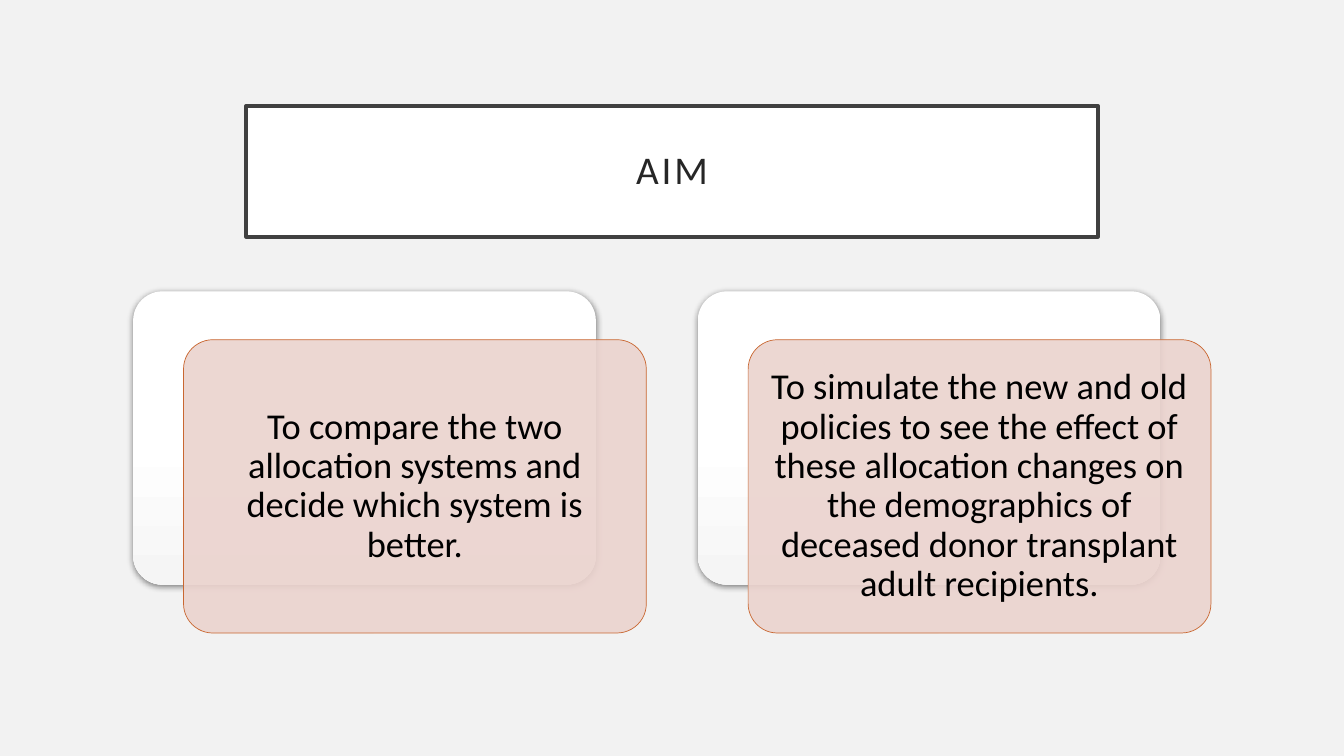
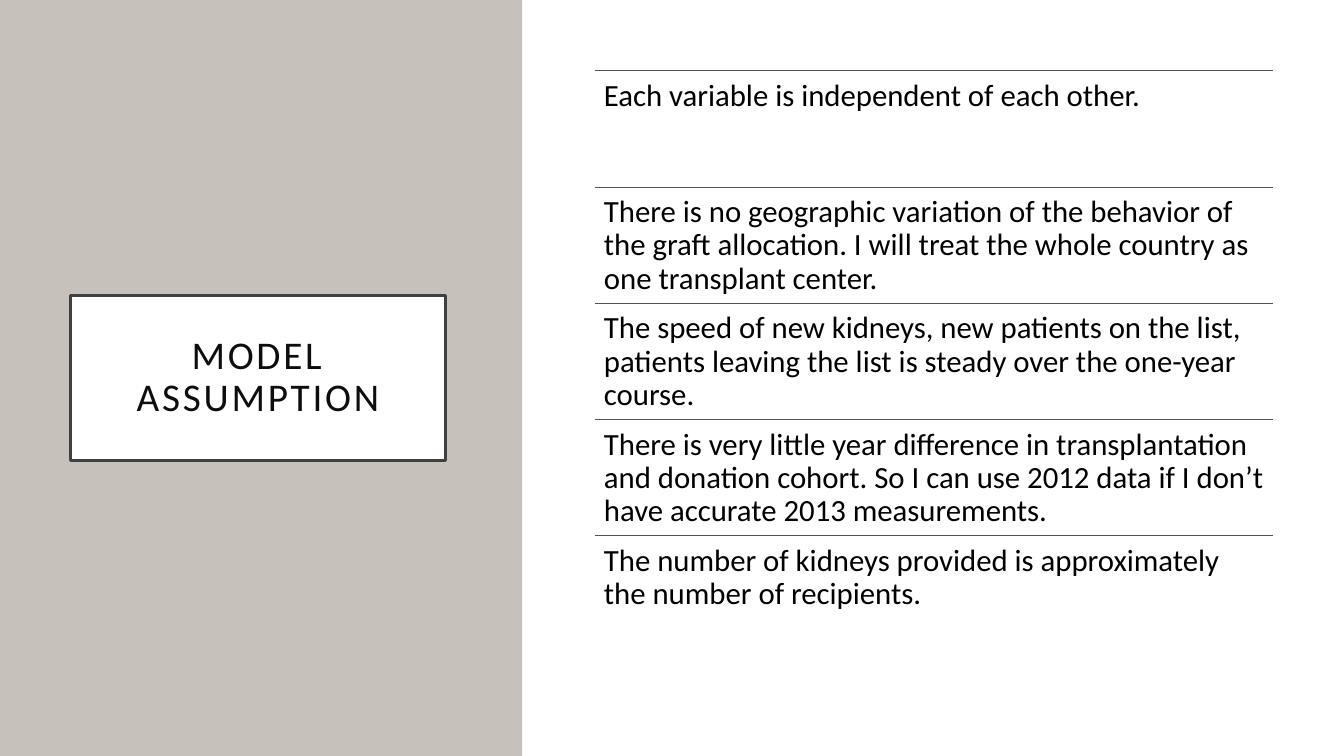
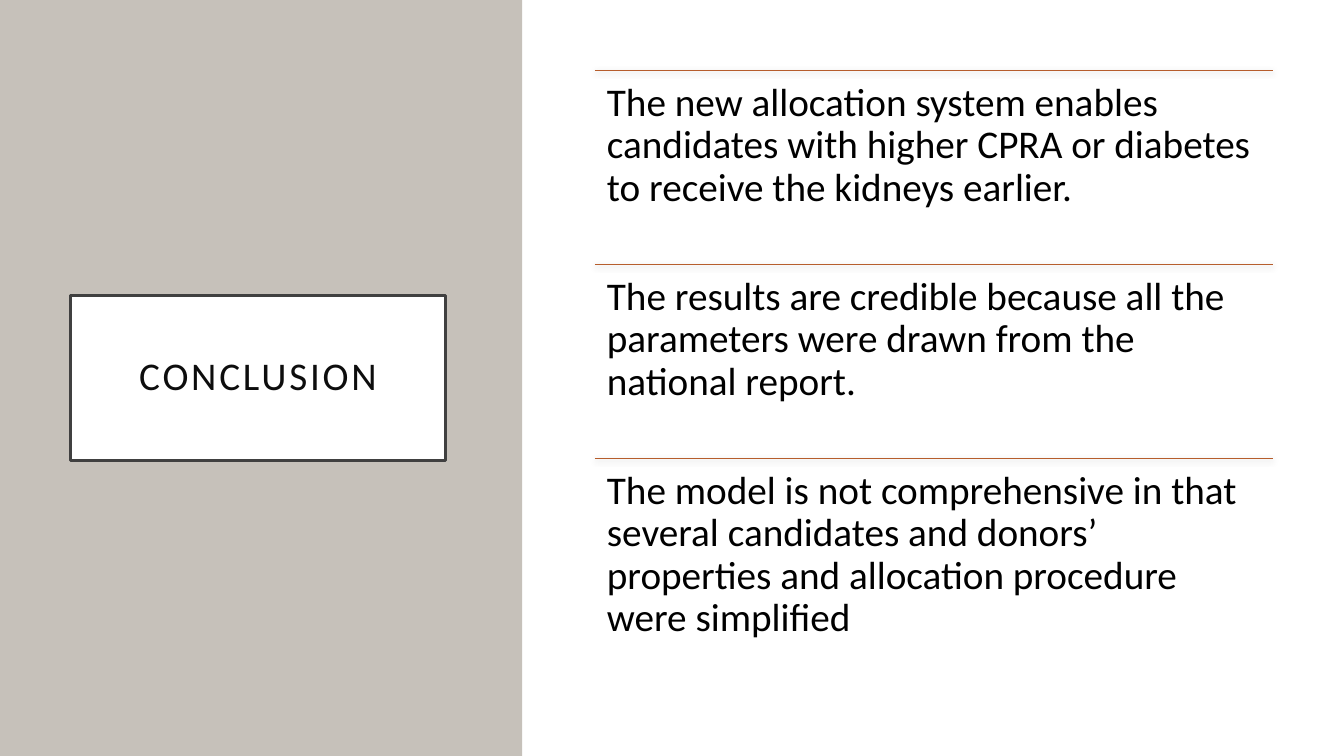
from dataclasses import dataclass

from lxml import etree
from pptx import Presentation
from pptx import util as u
from pptx.dml.color import RGBColor
from pptx.enum import shapes, text
from pptx.oxml import ns


@dataclass(frozen=True)
class Theme:
    """Colours, type sizes and measures shared by the slides."""
    font: str = "Calibri"
    mist: str = "F2F2F2"
    white: str = "FFFFFF"
    pale: str = "F5F5F5"
    stone: str = "C6C1BA"
    frame: str = "404040"
    blush: str = "EBD3CE"
    rust: str = "C96731"
    clay: str = "B65D2C"
    slate: str = "4A5356"
    ink: str = "000000"
    coal: str = "262626"
    soot: str = "0D0D0D"
    head: int = 28
    large: int = 28
    card: int = 26
    body: int = 22
    hair: float = 0.5
    edge: float = 2.5


T = Theme()
WIDE, HIGH = 13.33, 7.5
SPLIT = 5.2
TOP, LEFT, SPAN = 0.7, 5.9, 6.73
CARD_W, CARD_H = 4.59, 2.91
CARD_X, CARD_Y, PITCH = 1.32, 2.89, 5.6
STEP_X, STEP_Y = 0.5, 0.48

AIMS = [
    "To compare the two allocation systems and decide which system is better.",
    "To simulate the new and old policies to see the effect of these allocation "
    "changes on the demographics of deceased donor transplant adult recipients.",
]
RULES = [
    "Each variable is independent of each other.",
    "There is no geographic variation of the behavior of the graft allocation. "
    "I will treat the whole country as one transplant center.",
    "The speed of new kidneys, new patients on the list, patients leaving the "
    "list is steady over the one-year course.",
    "There is very little year difference in transplantation and donation cohort. "
    "So I can use 2012 data if I don’t have accurate 2013 measurements.",
    "The number of kidneys provided is approximately the number of recipients.",
]
ENDS = [
    "The new allocation system enables candidates with higher CPRA or diabetes "
    "to receive the kidneys earlier.",
    "The results are credible because all the parameters were drawn from the "
    "national report.",
    "The model is not comprehensive in that several candidates and donors’ "
    "properties and allocation procedure were simplified",
]


def tint(code):
    """Turn a hex code into a colour."""
    return RGBColor.from_string(code)


def box(*sides):
    """Turn inches into lengths."""
    return [u.Inches(side) for side in sides]


def node(root, tag, **attrs):
    """Add a drawing element below a root."""
    return etree.SubElement(root, ns.qn(tag), attrs)


def paint(shape, fill=None, line=None, width=T.hair):
    """Give a shape a flat fill and an outline, either of which may be absent."""
    if fill:
        shape.fill.solid()
        shape.fill.fore_color.rgb = tint(fill)
    if line:
        shape.line.color.rgb = tint(line)
        shape.line.width = u.Pt(width)
    else:
        shape.line.fill.background()


def shade(effects):
    """Put the soft drop shadow in an effect list."""
    drop = node(effects, "a:outerShdw", blurRad=str(u.Pt(4.4)), dist=str(u.Pt(1.2)),
                dir="5400000", algn="ctr", rotWithShape="0")
    node(node(drop, "a:srgbClr", val=T.ink), "a:alpha", val="45000")


def write(shape, words, size=T.body, color=T.ink, inset=0.1, align="LEFT",
          anchor="TOP", track=0):
    """Fill a shape with one formatted paragraph."""
    frame = shape.text_frame
    frame.word_wrap = True
    frame.auto_size = text.MSO_AUTO_SIZE.NONE
    frame.vertical_anchor = text.MSO_ANCHOR[anchor]
    frame.margin_left = frame.margin_right = u.Inches(inset)
    frame.margin_top = frame.margin_bottom = u.Inches(inset)
    para = frame.paragraphs[0]
    para.alignment = text.PP_ALIGN[align]
    para.line_spacing = 0.9
    run = para.add_run()
    run.text = words
    run.font.name, run.font.size = T.font, u.Pt(size)
    run.font.color.rgb = tint(color)
    if track:
        run.font._element.set("spc", str(track * 100))


def block(slide, place, kind="RECTANGLE", **look):
    """Add a flat preset shape."""
    shape = slide.shapes.add_shape(shapes.MSO_SHAPE[kind], *box(*place))
    shape.shadow.inherit = False
    paint(shape, **look)
    return shape


def start(deck, ground):
    """Add a title-only slide with a plain ground."""
    slide = deck.slides.add_slide(deck.slide_layouts[5])
    slide.background.fill.solid()
    slide.background.fill.fore_color.rgb = tint(ground)
    return slide


def title(slide, words, place, color):
    """Frame the title and bring it in front of what is drawn so far."""
    head = slide.shapes.title
    head.left, head.top, head.width, head.height = box(*place)
    paint(head, fill=T.white, line=T.frame, width=T.edge)
    write(head, words, size=T.head, color=color, inset=0.2, align="CENTER",
          anchor="MIDDLE", track=2)
    slide.shapes._spTree.append(head._element)


def card(slide, words, left):
    """Draw a white card with a tinted text card shifted over it."""
    back = block(slide, (left, CARD_Y, CARD_W, CARD_H), "ROUNDED_RECTANGLE")
    back.fill.gradient()
    back.fill.gradient_angle = 270
    for stop, code, spot in zip(back.fill.gradient_stops, (T.white, T.pale), (0.5, 1)):
        stop.color.rgb, stop.position = tint(code), spot
    shade(back._element.spPr.find(ns.qn("a:effectLst")))
    front = block(slide, (left + STEP_X, CARD_Y + STEP_Y, CARD_W, CARD_H),
                  "ROUNDED_RECTANGLE", fill=T.blush, line=T.rust)
    node(front._element.spPr.find(".//" + ns.qn("a:srgbClr")), "a:alpha", val="90000")
    for shape in (back, front):
        shape.adjustments[0] = 0.1
    write(front, words, size=T.card, inset=0.11, align="CENTER", anchor="MIDDLE")


def rule(slide, top, color, soft):
    """Draw a hairline across the list column."""
    line = slide.shapes.add_connector(
        shapes.MSO_CONNECTOR.STRAIGHT, *box(LEFT, top, LEFT + SPAN, top))
    line.line.color.rgb = tint(color)
    line.line.width = u.Pt(T.hair)
    effects = node(line._element.spPr, "a:effectLst")
    if soft:
        shade(effects)


def ruled(deck, name, items, size, inset, color, soft=False):
    """Build a slide with a side panel and equal rows under hairlines."""
    slide = start(deck, T.white)
    block(slide, (0, 0, 5.18, HIGH), fill=T.stone)
    block(slide, (SPLIT, 0, WIDE - SPLIT, HIGH), fill=T.white)
    title(slide, name, (0.7, 2.93, 3.72, 1.64), T.soot)
    step = 5.77 / len(items)
    for row, words in enumerate(items):
        top = TOP + row * step
        rule(slide, top, color, soft)
        area = slide.shapes.add_textbox(*box(LEFT, top, SPAN, step))
        write(area, words, size=size, inset=inset)


def aim(deck):
    """Build the slide with the two aims."""
    slide = start(deck, T.mist)
    title(slide, "AIM", (2.44, 1.05, 8.45, 1.3), T.coal)
    for col, words in enumerate(AIMS):
        card(slide, words, CARD_X + col * PITCH)


def main():
    """Build and save the deck."""
    deck = Presentation()
    deck.slide_width, deck.slide_height = box(WIDE, HIGH)
    aim(deck)
    ruled(deck, "MODEL ASSUMPTION", RULES, T.body, 0.09, T.slate)
    ruled(deck, "CONCLUSION", ENDS, T.large, 0.12, T.clay, soft=True)
    deck.save("out.pptx")


if __name__ == "__main__":
    main()
